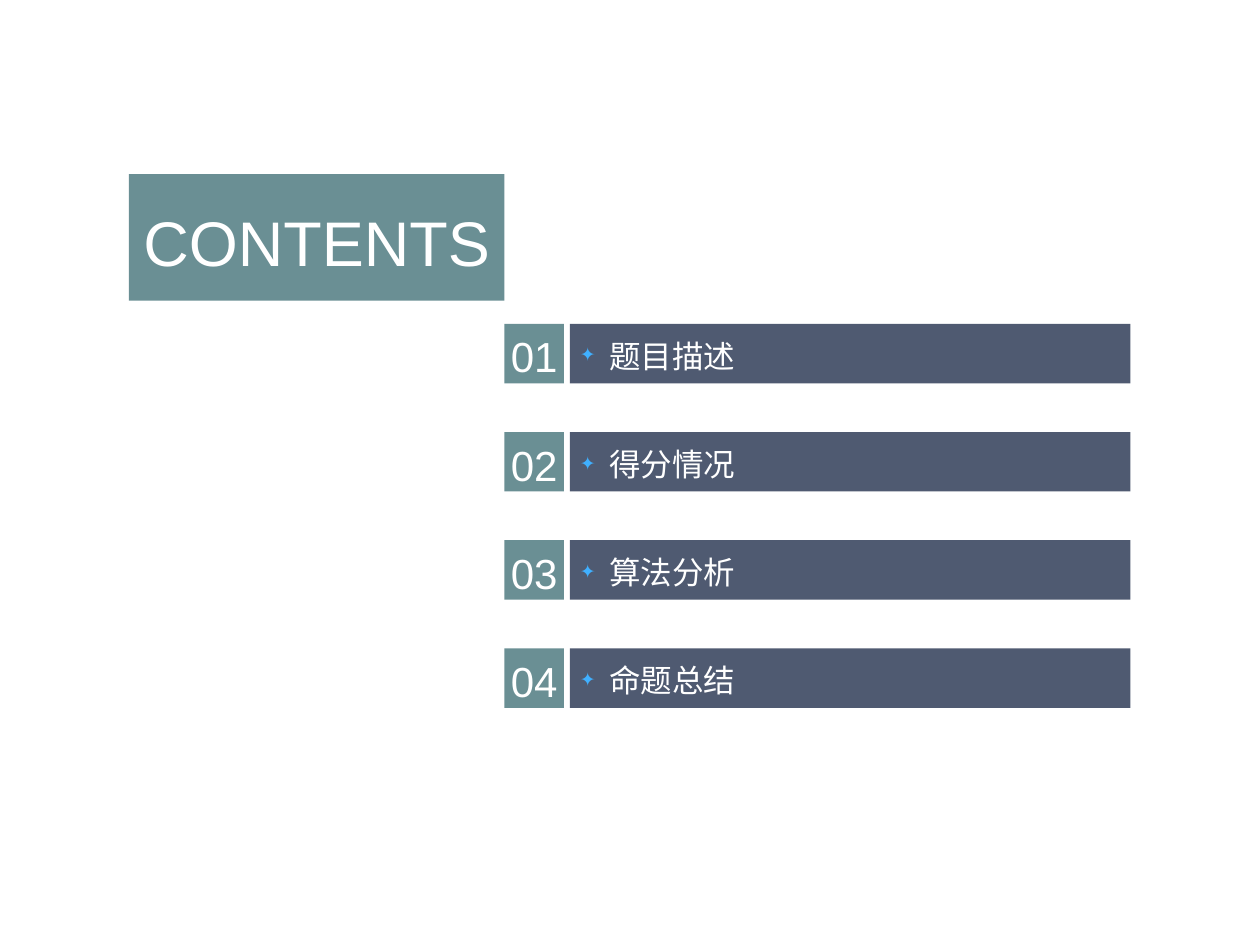
from dataclasses import dataclass

from lxml.etree import SubElement
from pptx import Presentation
from pptx.dml.color import RGBColor
from pptx.enum.shapes import MSO_SHAPE
from pptx.enum.text import MSO_ANCHOR, PP_ALIGN
from pptx.oxml.ns import qn
from pptx.util import Cm, Pt


@dataclass(frozen=True)
class Theme:
    teal: str = "6A8F94"
    navy: str = "4F5A71"
    white: str = "FFFFFF"
    star: str = "40B0FF"
    font: str = "Arial"
    head: int = 36
    num: int = 24
    item: int = 18


theme = Theme()


def add_bullet(para):
    """Give a paragraph a small star and a hanging indent."""
    props = para._p.get_or_add_pPr()
    props.set("marL", str(Cm(0.59)))
    props.set("indent", str(-Cm(0.59)))
    color = SubElement(props, qn("a:buClr"))
    SubElement(color, qn("a:srgbClr"), val=theme.star)
    SubElement(props, qn("a:buSzPct"), val="60000")
    SubElement(props, qn("a:buFont"), typeface=theme.font)
    SubElement(props, qn("a:buChar"), char="✦")


def add_box(text, *, left, top, width, height, fill, size,
            align=PP_ALIGN.CENTER, inset=0, bullet=False):
    """Draw a filled rectangle with one line of text."""
    box = slide.shapes.add_shape(
        MSO_SHAPE.RECTANGLE, Cm(left), Cm(top), Cm(width), Cm(height))
    box.shadow.inherit = False
    box.fill.solid()
    box.fill.fore_color.rgb = RGBColor.from_string(fill)
    box.line.fill.background()

    frame = box.text_frame
    frame.word_wrap = True
    frame.vertical_anchor = MSO_ANCHOR.MIDDLE
    frame.margin_left = Cm(inset)
    frame.margin_top = frame.margin_right = frame.margin_bottom = 0

    para = frame.paragraphs[0]
    if bullet:
        add_bullet(para)
    para.alignment = align
    para.line_spacing = 1.1
    run = para.add_run()
    run.text = text
    run.font.name = theme.font
    run.font.size = Pt(size)
    run.font.color.rgb = RGBColor.from_string(theme.white)


# Slide
deck = Presentation()
deck.slide_width, deck.slide_height = Cm(25.4), Cm(19.05)
slide = deck.slides.add_slide(deck.slide_layouts[6])

# Heading
add_box("CONTENTS", left=2.6, top=3.51, width=7.57, height=2.55,
        fill=theme.teal, size=theme.head)

# Numbered items
first, step, side = 6.53, 2.18, 1.2
items = ["题目描述", "得分情况", "算法分析", "命题总结"]
for row, item in enumerate(items):
    top = first + row * step
    add_box(f"{row + 1:02}", left=10.17, top=top, width=side, height=side,
            fill=theme.teal, size=theme.num)
    add_box(item, left=11.49, top=top, width=11.3, height=side,
            fill=theme.navy, size=theme.item,
            align=PP_ALIGN.JUSTIFY, inset=0.2, bullet=True)

deck.save("out.pptx")
